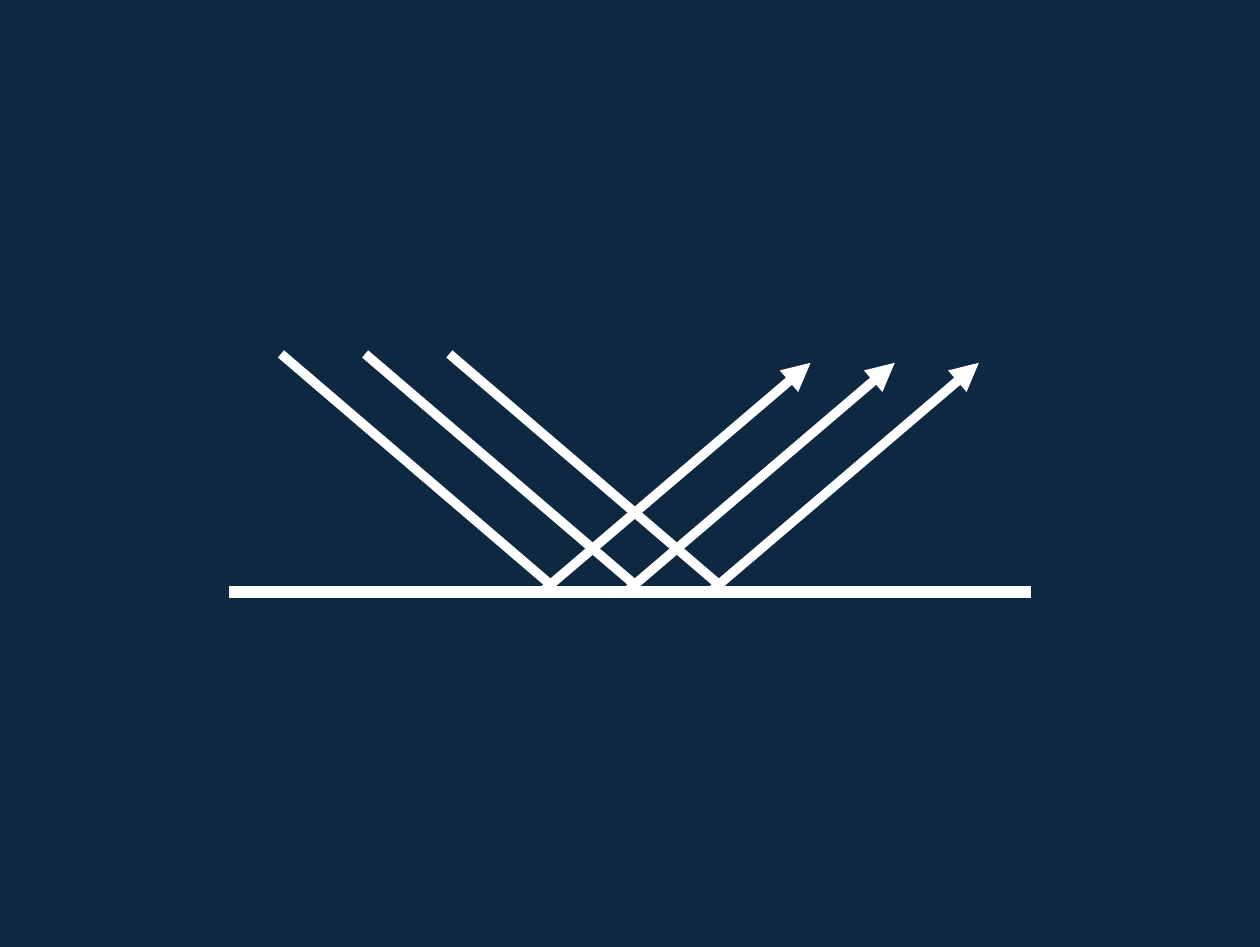
import pptx
import pptx.dml.color
import pptx.enum.shapes
import pptx.oxml
import pptx.oxml.ns
import pptx.util

COLORS = {"background": "0E2841", "ray": "FFFFFF"}

deck = pptx.Presentation()
deck.slide_width = pptx.util.Pt(600.25)
deck.slide_height = pptx.util.Pt(451)
slide = deck.slides.add_slide(deck.slide_layouts[6])

# Grid of 150 columns by 160 rows
COLUMN = deck.slide_width / 150
ROW = deck.slide_height / 160
RAY_COUNT = 3
RAY_STEP = 10.02  # columns between neighbouring rays

# Background
background = slide.background.fill
background.solid()
background.fore_color.rgb = pptx.dml.color.RGBColor.from_string(COLORS["background"])

diagram = slide.shapes.add_group_shape()


def add_line(start, end, width):
    """Draw a line between two (column, row) points of the grid."""
    line = diagram.shapes.add_connector(
        pptx.enum.shapes.MSO_CONNECTOR.STRAIGHT,
        round(start[0] * COLUMN), round(start[1] * ROW),
        round(end[0] * COLUMN), round(end[1] * ROW))
    line.line.color.rgb = pptx.dml.color.RGBColor.from_string(COLORS["ray"])
    line.line.width = pptx.util.Pt(width)
    line._element.spPr.append(pptx.oxml.parse_xml(
        f"<a:effectLst {pptx.oxml.ns.nsdecls('a')}/>"))
    return line


# Reflecting surface
add_line((122.74, 100), (27.26, 100), 6)

# Incoming rays
for ray in range(RAY_COUNT):
    shift = ray * RAY_STEP
    add_line((33.45 + shift, 59.8), (65.65 + shift, 98.9), 4.5)

# Reflected rays, with the arrowhead at the upper end
for ray in range(RAY_COUNT):
    shift = ray * RAY_STEP
    reflected = add_line((96.5 + shift, 61.3), (64.4 + shift, 100.15), 4.5)
    reflected.line._get_or_add_ln().append(pptx.oxml.parse_xml(
        f"<a:headEnd {pptx.oxml.ns.nsdecls('a')} type='triangle'/>"))

deck.save("out.pptx")
